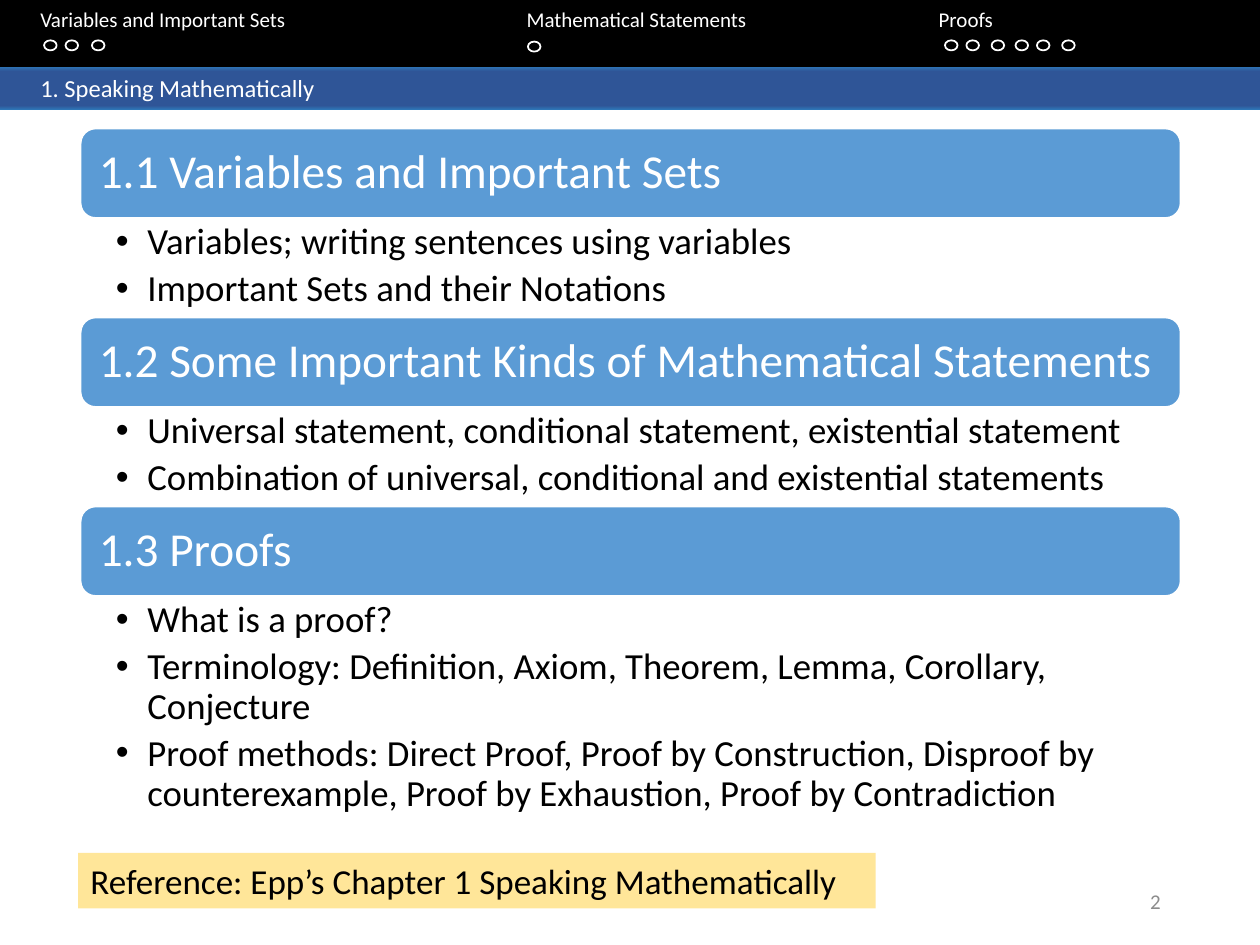
from copy import deepcopy
from dataclasses import dataclass

from lxml import etree
from pptx import Presentation
from pptx.dml.color import RGBColor
from pptx.enum.shapes import MSO_SHAPE
from pptx.enum.text import MSO_ANCHOR, PP_ALIGN
from pptx.oxml.ns import qn
from pptx.util import Inches, Pt

RECT, ROUND, OVAL = MSO_SHAPE.RECTANGLE, MSO_SHAPE.ROUNDED_RECTANGLE, MSO_SHAPE.OVAL
TOP, MIDDLE = MSO_ANCHOR.TOP, MSO_ANCHOR.MIDDLE
LEFT, RIGHT = PP_ALIGN.LEFT, PP_ALIGN.RIGHT

BLACK = RGBColor(0x00, 0x00, 0x00)
WHITE = RGBColor(0xFF, 0xFF, 0xFF)
GRAY = RGBColor(0x8C, 0x8C, 0x8C)
BLUE = RGBColor(0x5B, 0x9B, 0xD5)
EDGE_BLUE = RGBColor(0x2E, 0x75, 0xB6)
DEEP_BLUE = RGBColor(0x2F, 0x55, 0x97)
YELLOW = RGBColor(0xFF, 0xE6, 0x99)

FONT = "Calibri"
BAR_STOPS = [(0, EDGE_BLUE), (0.11, DEEP_BLUE), (0.91, DEEP_BLUE), (1, EDGE_BLUE)]
NAV_LEFT = 0.32
NAV_TABS = [3.86, 7.13]
SECTION_LEFT, SECTION_WIDTH, HEADING_HEIGHT = 0.64, 8.73, 0.71


@dataclass
class Section:
    heading: str
    bullets: list[str]
    body_height: float


@dataclass
class DotRow:
    top: float
    lefts: list[float]


SECTIONS = [
    Section("1.1 Variables and Important Sets",
            ["Variables; writing sentences using variables",
             "Important Sets and their Notations"], 0.79),
    Section("1.2 Some Important Kinds of Mathematical Statements",
            ["Universal statement, conditional statement, existential statement",
             "Combination of universal, conditional and existential statements"], 0.79),
    Section("1.3 Proofs",
            ["What is a proof?",
             "Terminology: Definition, Axiom, Theorem, Lemma, Corollary, Conjecture",
             "Proof methods: Direct Proof, Proof by Construction, Disproof by "
             "counterexample, Proof by Exhaustion, Proof by Contradiction"], 1.83),
]
DOT_ROWS = [
    DotRow(0.32, [0.35, 0.52, 0.73]),
    DotRow(0.33, [4.19]),
    DotRow(0.32, [7.5, 7.67, 7.87, 8.06, 8.23, 8.43]),
]


def add_shape(s, kind, box: tuple, fill: RGBColor | None = None,
              line: RGBColor | None = None):
    sp = s.shapes.add_shape(kind, *map(Inches, box))
    sp.shadow.inherit = False
    if fill is None:
        sp.fill.background()
    else:
        sp.fill.solid()
        sp.fill.fore_color.rgb = fill
    if line is None:
        sp.line.fill.background()
    else:
        sp.line.color.rgb = line
        sp.line.width = Pt(1)
    return sp


def add_text_box(s, box: tuple):
    return s.shapes.add_textbox(*map(Inches, box))


def fill_bar(sp) -> None:
    sp.fill.gradient()
    sp.fill.gradient_angle = 270
    stop_list = sp._element.spPr.find(".//" + qn("a:gsLst"))
    for gs in list(stop_list):
        stop_list.append(deepcopy(gs))
    for stop, (position, color) in zip(sp.fill.gradient_stops, BAR_STOPS):
        stop.position = position
        stop.color.rgb = color


def set_text(sp, lines: list[str], size: float, color: RGBColor,
             insets: tuple = (0.1, 0.05, 0.1, 0.05), anchor=TOP, align=LEFT) -> list:
    tf = sp.text_frame
    left, top, right, bottom = map(Inches, insets)
    frame_format = {"word_wrap": True, "vertical_anchor": anchor,
                    "margin_left": left, "margin_top": top,
                    "margin_right": right, "margin_bottom": bottom}
    for name, value in frame_format.items():
        setattr(tf, name, value)
    tf.text = "\n".join(lines)
    for p in tf.paragraphs:
        p.alignment = align
        r = p.runs[0]
        for name, value in {"name": FONT, "size": Pt(size)}.items():
            setattr(r.font, name, value)
        r.font.color.rgb = color
    return list(tf.paragraphs)


def add_tabs(p, stops: list[float]) -> None:
    tab_list = etree.SubElement(p._p.get_or_add_pPr(), qn("a:tabLst"))
    for stop in stops:
        etree.SubElement(tab_list, qn("a:tab"), pos=str(Inches(stop)), algn="l")


def add_bullet(p) -> None:
    pPr = p._p.get_or_add_pPr()
    pPr.set("marL", str(Inches(0.25)))
    pPr.set("indent", str(Inches(-0.25)))
    etree.SubElement(pPr, qn("a:buFont"), typeface="Arial")
    etree.SubElement(pPr, qn("a:buChar"), char="•")


def add_section(s, section: Section, top: float) -> float:
    sp = add_shape(s, ROUND, (SECTION_LEFT, top, SECTION_WIDTH, HEADING_HEIGHT), BLUE, WHITE)
    p = set_text(sp, [section.heading], 27, WHITE, (0.11,) * 4, MIDDLE)[0]
    p.line_spacing = 0.9
    top += HEADING_HEIGHT
    body = add_text_box(s, (SECTION_LEFT, top, SECTION_WIDTH, section.body_height))
    for p in set_text(body, section.bullets, 21, BLACK, (0.28, 0.04, 0.21, 0.04)):
        add_bullet(p)
        p.line_spacing = 0.9
        p.space_after = Pt(4.2)
    return top + section.body_height


def main() -> None:
    prs = Presentation()
    prs.slide_width, prs.slide_height = Inches(10), Inches(7.5)
    s = prs.slides.add_slide(prs.slide_layouts[6])

    nav_insets = (NAV_LEFT, 0.05, 0.1, 0.05)
    add_shape(s, RECT, (0, -0.02, 10, 0.56), BLACK)
    nav = add_text_box(s, (0, 0, 10, 0.5))
    titles = "Variables and Important Sets\tMathematical Statements\tProofs"
    add_tabs(set_text(nav, [titles], 12, WHITE, nav_insets)[0], NAV_TABS)
    for row in DOT_ROWS:
        for left in row.lefts:
            add_shape(s, OVAL, (left, row.top, 0.1, 0.08), line=WHITE)

    bar = add_shape(s, RECT, (0, 0.53, 10, 0.34))
    fill_bar(bar)
    set_text(bar, ["1. Speaking Mathematically"], 14, WHITE, nav_insets)

    top = 1.02
    for section in SECTIONS:
        top = add_section(s, section, top)

    reference = add_shape(s, RECT, (0.62, 6.77, 6.33, 0.44), YELLOW)
    set_text(reference, ["Reference: Epp’s Chapter 1 Speaking Mathematically"], 20, BLACK)
    number = add_text_box(s, (7.06, 6.95, 2.25, 0.4))
    set_text(number, ["2"], 12, GRAY, anchor=MIDDLE, align=RIGHT)

    prs.save("out.pptx")


if __name__ == "__main__":
    main()
